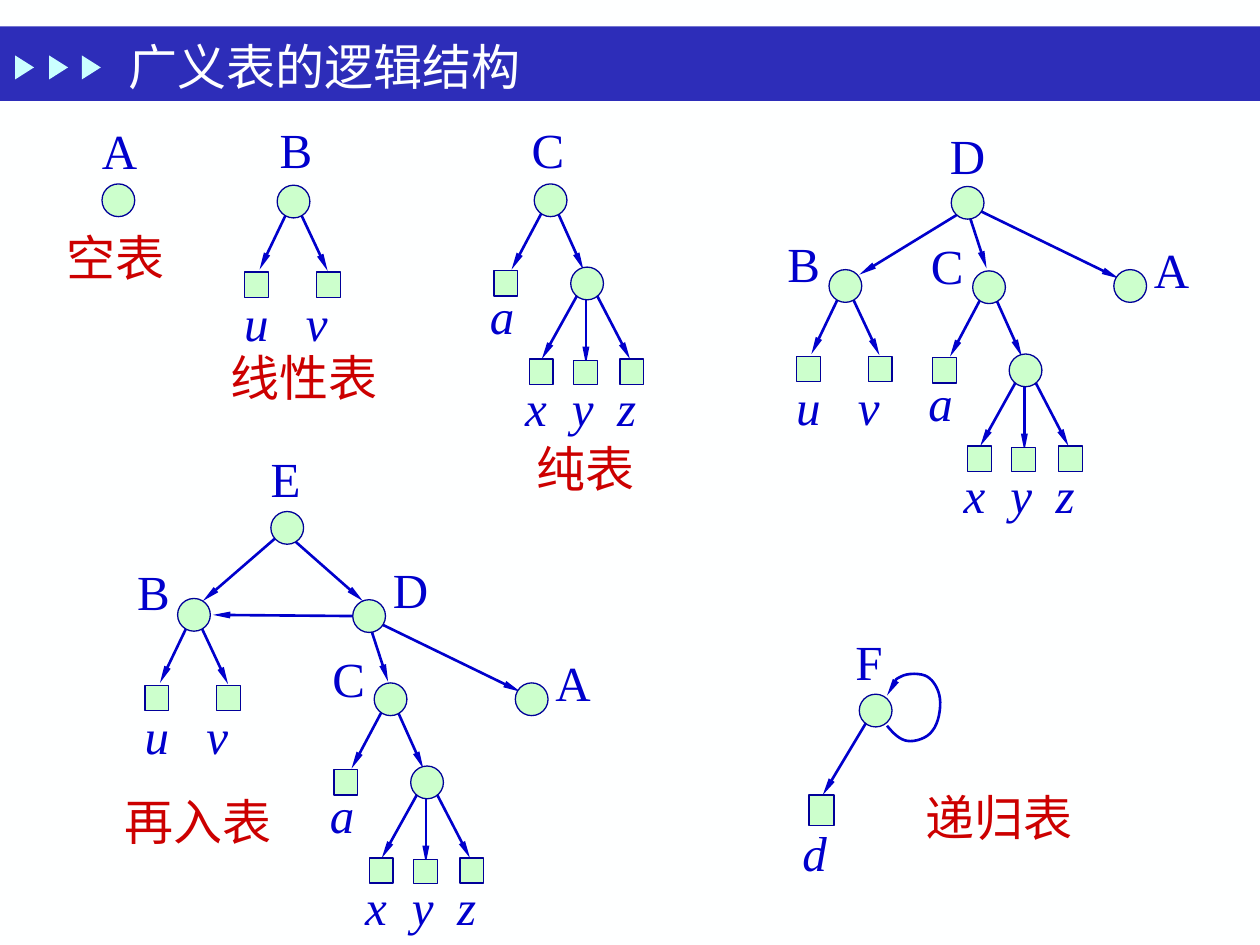
from lxml.etree import SubElement
from pptx import Presentation
from pptx.dml.color import RGBColor
from pptx.enum.shapes import MSO_CONNECTOR, MSO_SHAPE
from pptx.enum.text import MSO_ANCHOR, MSO_AUTO_SIZE, PP_ALIGN
from pptx.oxml.ns import qn
from pptx.util import Pt

PX = 9144
PAPER = RGBColor(0xFE, 0xFF, 0xFF)
BAND = RGBColor(0x2D, 0x2D, 0xB9)
CYAN = RGBColor(0xCB, 0xFF, 0xFF)
MINT = RGBColor(0xCC, 0xFF, 0xCC)
NAVY = RGBColor(0x00, 0x00, 0x99)
BLUE = RGBColor(0x00, 0x00, 0xCC)
RED = RGBColor(0xCC, 0x00, 0x00)
SERIF = "Times New Roman"
SANS = "Noto Sans CJK SC"


def write(frame, words, color, face=SERIF, slant=False):
    frame.text = words
    run = frame.paragraphs[0].runs[0]
    for key, value in {"size": Pt(28), "name": face, "bold": False, "italic": slant}.items():
        setattr(run.font, key, value)
    run.font.color.rgb = color
    SubElement(run.font._element, qn("a:ea"), typeface=SANS)


def point(shape):
    shape.line.color.rgb = BLUE
    shape.line.width = Pt(1.5)
    SubElement(shape.line._get_or_add_ln(), qn("a:tailEnd"), type="triangle", w="sm", len="lg")


deck = Presentation()
deck.slide_width, deck.slide_height = 1000 * PX, 750 * PX
slide = deck.slides.add_slide(deck.slide_layouts[5])
slide.background.fill.solid()
slide.background.fill.fore_color.rgb = PAPER
shapes = slide.shapes

bars = [(MSO_SHAPE.RECTANGLE, 0, 21, 1000, 59, 0, BAND)]
bars += [(MSO_SHAPE.ISOSCELES_TRIANGLE, x, 46, 19, 15, 90, CYAN) for x in (10, 37, 63)]
for kind, x, y, wide, high, turn, color in bars:
    bar = shapes.add_shape(kind, x * PX, y * PX, wide * PX, high * PX)
    bar.rotation = turn
    bar.shadow.inherit = False
    bar.fill.solid()
    bar.fill.fore_color.rgb = color
    bar.line.fill.background()

title = shapes.title
for key, value in {"left": 92, "top": 27, "width": 700, "height": 50}.items():
    setattr(title, key, value * PX)
title.text_frame.vertical_anchor = MSO_ANCHOR.MIDDLE
write(title.text_frame, "广义表的逻辑结构", PAPER, SANS)
title.text_frame.paragraphs[0].alignment = PP_ALIGN.LEFT
title.element.getparent().append(title.element)

lines = [
    (689, 571, 653, 631),
    (762, 169, 682, 218),
    (229, 425, 288, 477),
    (221, 425, 161, 477),
    (286, 489, 169, 488),
]
rings = [(81, 146), (755, 148), (215, 406), (280, 476), (682, 551)]
boxes = [(642, 631, 20, 24)]
names = [
    ("A", 71, 91, 51), ("B", 212, 90, 48), ("C", 412, 90, 51), ("D", 744, 95, 51),
    ("B", 615, 180, 48), ("E", 205, 351, 48), ("B", 99, 441, 48), ("D", 302, 439, 51),
    ("F", 669, 496, 46),
]
atoms = [("d", 627, 648, 42)]

for x, y in ((755, 148), (280, 476)):
    lines += [(x + 22, y + 19, x + 133, y + 73), (x + 14, y + 22, x + 28, y + 65)]
    rings.append((x + 129, y + 66))
    names += [("C", x - 26, y + 34, 51), ("A", x + 151, y + 37, 51)]

for x, y in ((220, 147), (658, 214), (141, 475)):
    lines += [(x + 17, y + 19, x + 40, y + 68), (x + 9, y + 19, x - 14, y + 67)]
    rings.append((x, y))
    boxes += [(x - 26, y + 69, 19, 20), (x + 31, y + 69, 19, 20)]
    atoms.append(("u\tv", x - 36, y + 80, 93))

for x, y in ((424, 146), (772, 215), (297, 542)):
    lines += [
        (x + 17, y + 19, x + 39, y + 68),
        (x + 8, y + 19, x - 18, y + 68),
        (x + 41, y + 77, x + 41, y + 143),
        (x + 48, y + 85, x + 76, y + 139),
        (x + 36, y + 85, x + 6, y + 139),
    ]
    rings += [(x, y), (x + 29, y + 66)]
    boxes += [(x - 32, y + 69, 19, 20), (x - 4, y + 139, 19, 20),
              (x + 31, y + 140, 19, 19), (x + 68, y + 139, 19, 20)]
    atoms += [("a", x - 45, y + 76, 42), ("x\ty\tz", x - 17, y + 149, 116)]

for ends in lines:
    arrow = shapes.add_connector(MSO_CONNECTOR.STRAIGHT, *[n * PX for n in ends])
    point(arrow)
    SubElement(arrow._element.spPr, qn("a:effectLst"))

nodes = [(MSO_SHAPE.OVAL, x, y, 26, 26) for x, y in rings]
nodes += [(MSO_SHAPE.RECTANGLE, *box) for box in boxes]
for kind, *place in nodes:
    node = shapes.add_shape(kind, *[n * PX for n in place])
    node.shadow.inherit = False
    node.fill.solid()
    node.fill.fore_color.rgb = MINT
    node.line.color.rgb = NAVY
    node.line.width = Pt(0.75)

kinds = [
    ("空表", 43, 176, 103), ("线性表", 173, 271, 144), ("纯表", 416, 343, 103),
    ("再入表", 89, 623, 144), ("递归表", 725, 620, 144),
]
stops = {"u\tv": (49,), "x\ty\tz": (37, 73)}
for group, color, slant in ((names, BLUE, False), (atoms, BLUE, True), (kinds, RED, False)):
    for words, x, y, wide in group:
        frame = shapes.add_textbox(x * PX, y * PX, wide * PX, 59 * PX).text_frame
        look = {"word_wrap": words in stops, "auto_size": MSO_AUTO_SIZE.SHAPE_TO_FIT_TEXT}
        for key, value in look.items():
            setattr(frame, key, value)
        write(frame, words, color, slant=slant)
        if words in stops:
            tabs = SubElement(frame.paragraphs[0]._p.get_or_add_pPr(), qn("a:tabLst"))
            for stop in stops[words]:
                SubElement(tabs, qn("a:tab"), pos=str(stop * PX), algn="l")

curve = [
    (709, 582), (714, 587), (720, 588), (726, 589), (736, 586), (740, 580),
    (745, 574), (747, 562), (746, 554), (745, 547), (741, 540), (736, 537),
    (731, 534), (720, 534), (715, 537), (709, 540), (706, 549), (704, 552),
]
pen = shapes.build_freeform(704, 576, scale=PX)
pen.add_line_segments(curve, close=False)
loop = pen.convert_to_shape()
loop.shadow.inherit = False
loop.fill.background()
point(loop)
legs = list(loop._element.iter(qn("a:lnTo")))
for first in range(0, len(legs), 3):
    bend = SubElement(legs[first].getparent(), qn("a:cubicBezTo"))
    for leg in legs[first:first + 3]:
        bend.append(leg[0])
        leg.getparent().remove(leg)

deck.save("out.pptx")
